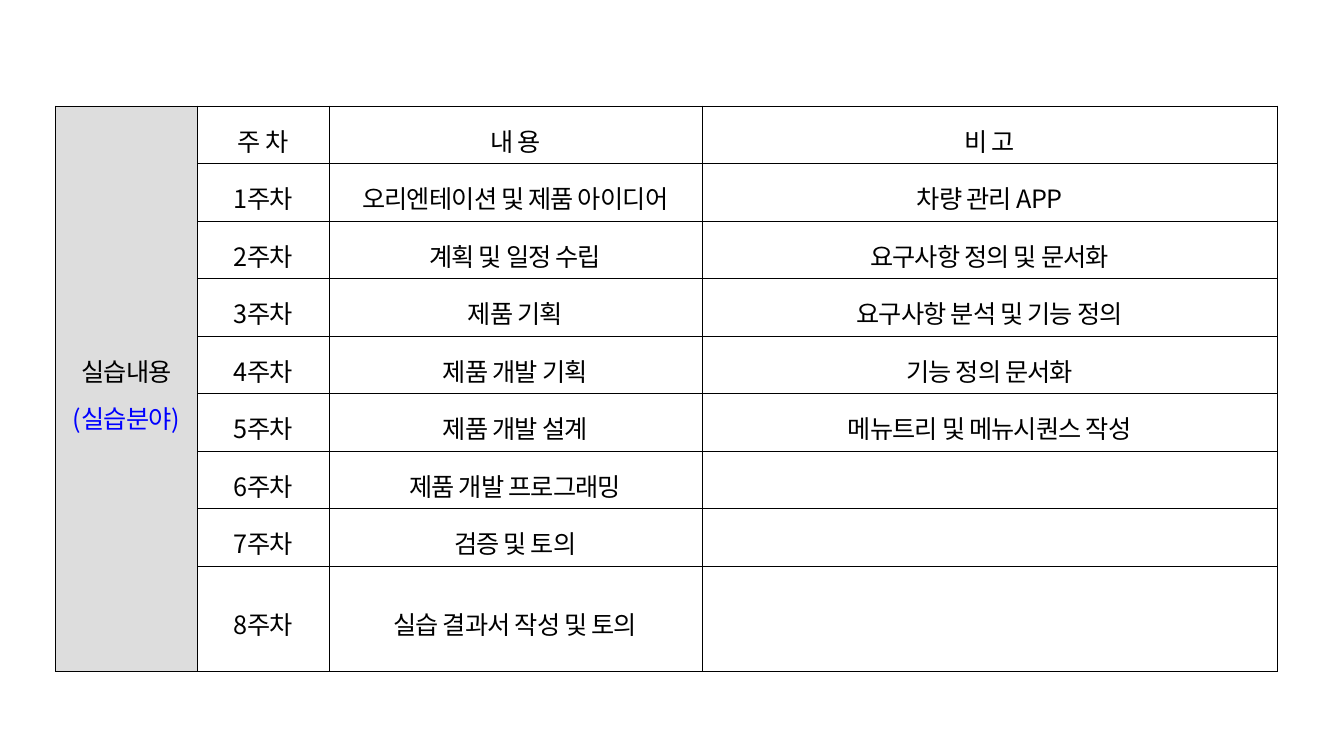
from lxml import etree
from pptx import Presentation
from pptx.dml.color import RGBColor
from pptx.enum import text
from pptx.oxml import ns
from pptx.util import Inches, Pt

BLACK = RGBColor(0x00, 0x00, 0x00)
BLUE = RGBColor(0x00, 0x00, 0xFF)
GRAY = RGBColor(0xDD, 0xDD, 0xDD)
FONT = "Noto Sans CJK KR"
COLUMN_WIDTHS = [1.41, 1.3, 3.7, 5.71]
ROW_HEIGHT = 0.56
HEADERS = ("주 차", "내 용", "비 고")
WEEKS = [
    ("오리엔테이션 및 제품 아이디어", "차량 관리 APP"),
    ("계획 및 일정 수립", "요구사항 정의 및 문서화"),
    ("제품 기획", "요구사항 분석 및 기능 정의"),
    ("제품 개발 기획", "기능 정의 문서화"),
    ("제품 개발 설계", "메뉴트리 및 메뉴시퀀스 작성"),
    ("제품 개발 프로그래밍", ""),
    ("검증 및 토의", ""),
    ("실습 결과서 작성 및 토의", ""),
]


def add_borders(cell):
    properties = cell._tc.get_or_add_tcPr()
    for side in ("a:lnL", "a:lnR", "a:lnT", "a:lnB"):
        line = etree.SubElement(properties, ns.qn(side), w=str(Pt(0.28)))
        fill = etree.SubElement(line, ns.qn("a:solidFill"))
        etree.SubElement(fill, ns.qn("a:srgbClr"), val=str(BLACK))


def format_cell(cell, color=None):
    add_borders(cell)
    cell.vertical_anchor = text.MSO_ANCHOR.MIDDLE
    cell.margin_left = cell.margin_right = Inches(0.07)
    if color is None:
        cell.fill.background()
    else:
        cell.fill.solid()
        cell.fill.fore_color.rgb = color


def write_paragraph(paragraph, content, color=BLACK):
    paragraph.alignment = text.PP_ALIGN.CENTER
    paragraph.line_spacing = 1.3
    paragraph.font.size = Pt(18)
    paragraph.font.name = FONT
    paragraph.font.color.rgb = color
    run = paragraph.add_run()
    run.text = content
    properties = run._r.get_or_add_rPr()
    properties.set("spc", "-60")
    etree.SubElement(properties, ns.qn("a:ea"), typeface=FONT)


def add_schedule(slide):
    rows = [HEADERS]
    rows += [(f"{week}주차", *entry) for week, entry in enumerate(WEEKS, 1)]
    table = slide.shapes.add_table(
        len(rows), len(COLUMN_WIDTHS), Inches(0.55), Inches(1.05),
        Inches(sum(COLUMN_WIDTHS)), Inches(ROW_HEIGHT * len(rows)),
    ).table
    table.first_row = False
    table.horz_banding = False
    for column, width in zip(table.columns, COLUMN_WIDTHS):
        column.width = Inches(width)
    for row_index, values in enumerate(rows):
        table.rows[row_index].height = Inches(ROW_HEIGHT)
        format_cell(table.cell(row_index, 0), GRAY)
        for column_index, value in enumerate(values, 1):
            cell = table.cell(row_index, column_index)
            format_cell(cell)
            if value:
                write_paragraph(cell.text_frame.paragraphs[0], value)
    return table


def add_topic(table):
    topic = table.cell(0, 0)
    topic.merge(table.cell(len(table.rows) - 1, 0))
    write_paragraph(topic.text_frame.paragraphs[0], "실습내용")
    write_paragraph(topic.text_frame.add_paragraph(), "(실습분야)", BLUE)


def main():
    presentation = Presentation()
    presentation.slide_width = Inches(13.33)
    presentation.slide_height = Inches(7.5)
    slide = presentation.slides.add_slide(presentation.slide_layouts[6])
    add_topic(add_schedule(slide))
    presentation.save("out.pptx")


if __name__ == "__main__":
    main()
